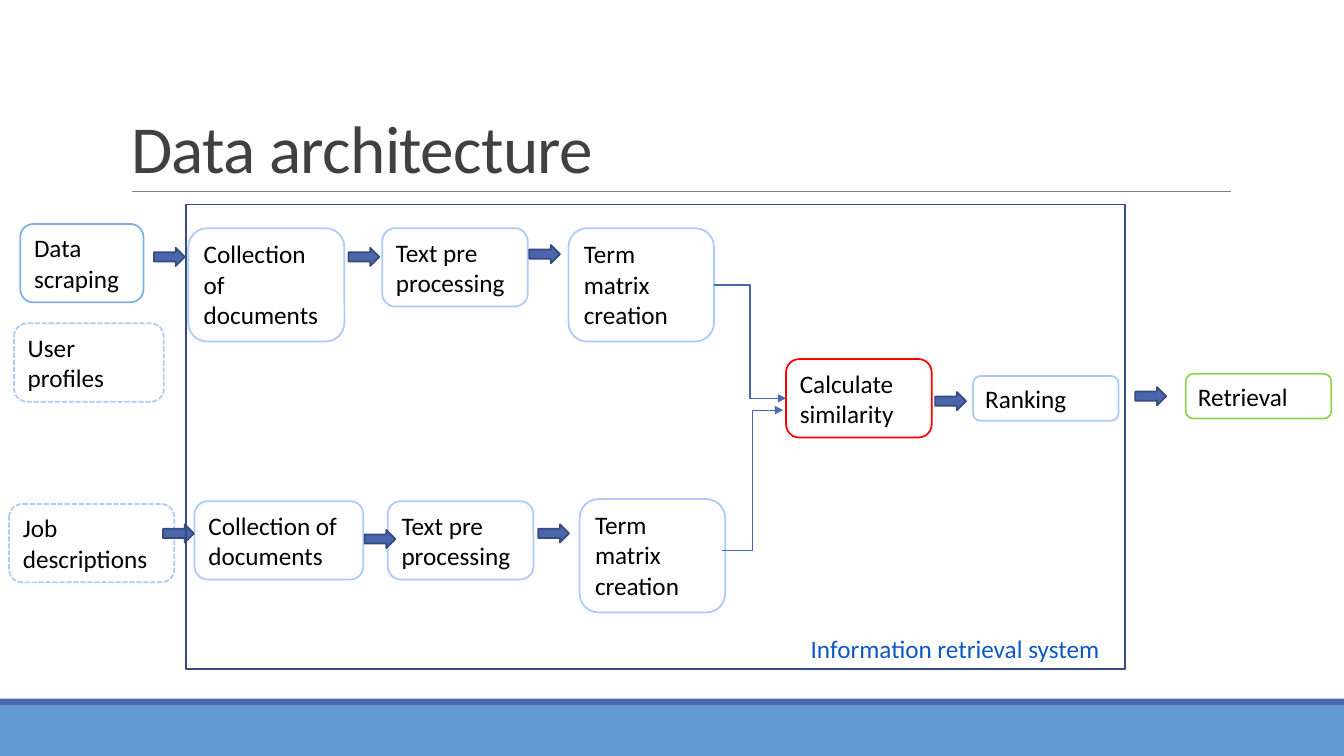
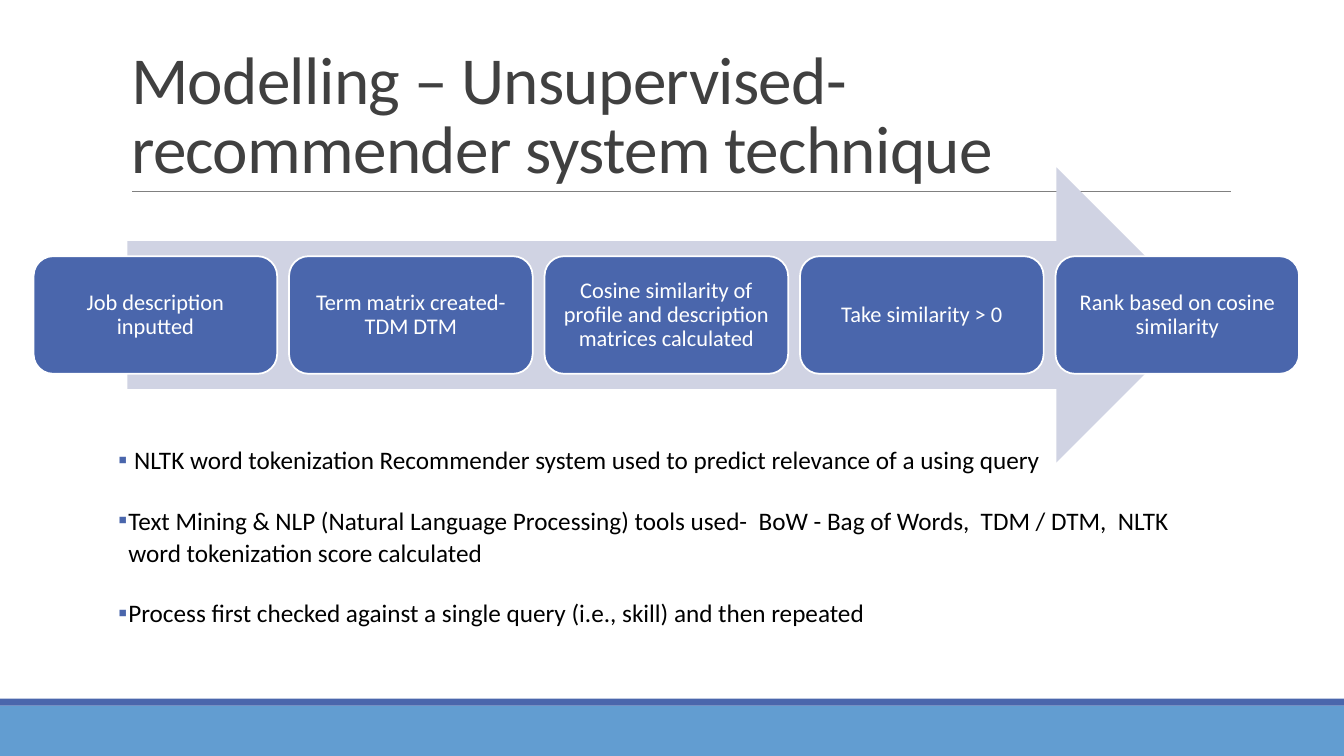
from dataclasses import dataclass

from lxml import etree
from pptx import Presentation
from pptx import util as u
from pptx.dml.color import RGBColor
from pptx.enum import dml, shapes, text
from pptx.oxml.ns import qn

Pt = u.Pt
Kind = shapes.MSO_SHAPE
Link = shapes.MSO_CONNECTOR
Side = text.PP_ALIGN
Hold = text.MSO_ANCHOR


@dataclass(frozen=True)
class Theme:
    font: str = "Calibri"
    head: int = 48
    body: int = 18
    step: int = 16
    thin: float = 0.5
    edge: float = 1.25
    ink: str = "000000"
    grey: str = "404040"
    rule: str = "808080"
    white: str = "FFFFFF"
    blue: str = "4A66AC"
    navy: str = "374B7F"
    sky: str = "629DD1"
    pale: str = "ACCBF9"
    mid: str = "7EB2E6"
    mist: str = "D0D3E3"
    label: str = "0E58C4"
    red: str = "FF0000"
    green: str = "92D050"


class Deck:
    def __init__(self, theme):
        self.t = theme
        self.prs = Presentation()
        self.prs.slide_width, self.prs.slide_height = Pt(960), Pt(540)
        self.slide = None

    def page(self, title):
        t = self.t
        self.slide = self.prs.slides.add_slide(self.prs.slide_layouts[5])
        self.shape(Kind.RECTANGLE, 0, 504, 960, 36, t.sky)
        self.shape(Kind.RECTANGLE, 0, 499, 960, 5, t.blue)
        self.line((94.5, 137), (879, 137), t.rule, t.thin)
        head = self.slide.shapes.title
        head.left, head.top, head.width, head.height = map(Pt, (86.5, 22.5, 792, 114.5))
        frame = self.frame(head, Hold.BOTTOM)
        run = self.words(frame.paragraphs[0], title, t.head, t.grey, space=0.85)
        run._r.get_or_add_rPr().set("spc", "-50")

    def frame(self, item, hold=Hold.TOP, pad=None):
        frame = item.text_frame
        frame.word_wrap = True
        frame.auto_size = text.MSO_AUTO_SIZE.NONE
        frame.vertical_anchor = hold
        if pad:
            (frame.margin_left, frame.margin_top,
             frame.margin_right, frame.margin_bottom) = map(Pt, pad)
        return frame

    def words(self, para, words, size, color, side=Side.LEFT, space=1.0):
        para.alignment = side
        para.line_spacing = space
        run = para.add_run()
        run.text = words
        run.font.name = self.t.font
        run.font.size = Pt(size)
        run.font.color.rgb = RGBColor.from_string(color)
        return run

    def shape(self, kind, x, y, w, h, fill=None, edge=None, dash=False):
        item = self.slide.shapes.add_shape(kind, Pt(x), Pt(y), Pt(w), Pt(h))
        item.shadow.inherit = False
        if fill:
            item.fill.solid()
            item.fill.fore_color.rgb = RGBColor.from_string(fill)
        else:
            item.fill.background()
        if edge:
            item.line.color.rgb = RGBColor.from_string(edge)
            item.line.width = Pt(self.t.edge)
            if dash:
                item.line.dash_style = dml.MSO_LINE.SQUARE_DOT
        else:
            item.line.fill.background()
        return item

    def box(self, words, x, y, w, h, edge, dash=False):
        t = self.t
        item = self.shape(Kind.ROUNDED_RECTANGLE, x, y, w, h, t.white, edge, dash)
        self.words(self.frame(item).paragraphs[0], words, t.body, t.ink)
        return item

    def step(self, words, x, y, w, h):
        t = self.t
        item = self.shape(Kind.ROUNDED_RECTANGLE, x, y, w, h, t.blue, t.white)
        frame = self.frame(item, Hold.MIDDLE, (5, 5, 5, 5))
        self.words(frame.paragraphs[0], words, t.step, t.white, Side.CENTER, 0.9)

    def arrow(self, x, y):
        self.shape(Kind.RIGHT_ARROW, x, y, 22, 13, self.t.blue, self.t.navy)

    def line(self, start, end, color, width, kind=Link.STRAIGHT, tip=False):
        item = self.slide.shapes.add_connector(kind, *map(Pt, (*start, *end)))
        item.line.color.rgb = RGBColor.from_string(color)
        item.line.width = Pt(width)
        if tip:
            etree.SubElement(item.line._get_or_add_ln(), qn("a:tailEnd"), type="triangle")
        etree.SubElement(item._element.spPr, qn("a:effectLst"))
        return item

    def area(self, x, y, w, h, pad=None):
        item = self.slide.shapes.add_textbox(Pt(x), Pt(y), Pt(w), Pt(h))
        return self.frame(item, pad=pad)

    def label(self, words, x, y, w, h):
        para = self.area(x, y, w, h).paragraphs[0]
        self.words(para, words, self.t.body, self.t.label)

    def points(self, rows, x, y, w, h):
        t = self.t
        frame = self.area(x, y, w, h, (0, 3.6, 0, 3.6))
        for i, words in enumerate(rows):
            para = frame.add_paragraph() if i else frame.paragraphs[0]
            self.words(para, words, t.body, t.ink, space=1.07)
            para.space_before, para.space_after = Pt(12), Pt(8)
            props = para._p.get_or_add_pPr()
            props.set("marL", str(int(Pt(7.2))))
            props.set("indent", str(int(Pt(-7.2))))
            tint = etree.SubElement(props, qn("a:buClr"))
            etree.SubElement(tint, qn("a:srgbClr"), val=t.blue)
            etree.SubElement(props, qn("a:buFont"), typeface=t.font)
            etree.SubElement(props, qn("a:buChar"), char="▪")


def flow(deck):
    t = deck.t
    wide, low, mid, tall = 104, 32, 56, 81
    deck.page("Data architecture")
    deck.box("Data scraping", 14.5, 160, 88, mid, t.mid)
    deck.box("User profiles", 10, 231, 107, mid, t.pale, True)
    deck.box("Job descriptions", 6.5, 360, 118, mid, t.pale, True)
    deck.box("Collection of documents", 134.5, 163, 111.5, tall, t.pale)
    deck.box("Collection of documents", 139, 358, 120.5, mid, t.pale)
    for x, y in ((273, 163), (277, 358)):
        deck.box("Text pre processing", x, y, wide, mid, t.pale)
    term, _ = [deck.box("Term matrix creation", x, y, wide, tall, t.pale)
               for x, y in ((406, 163), (414, 356.5))]
    match = deck.box("Calculate similarity", 561.5, 256.5, wide, mid, t.red)
    deck.box("Ranking", 695, 268.5, wide, low, t.pale)
    deck.box("Retrieval", 847, 267, wide, low, t.green)
    deck.label("Information retrieval system", 572, 449, 246, 29)
    for x, y in ((110, 177), (249, 177), (378, 175), (116.5, 374.5),
                 (260.5, 378.5), (384.5, 374.5), (668, 280), (811, 276.5)):
        deck.arrow(x, y)
    deck.shape(Kind.RECTANGLE, 133, 146, 670.5, 332, edge=t.navy)
    deck.line((515.5, 393), (559.5, 293), t.blue, 0.25, Link.ELBOW, True)
    link = deck.line((510, 203.5), (561.5, 284.5), t.blue, 1, Link.ELBOW, True)
    link.begin_connect(term, 3)
    link.end_connect(match, 1)


def model(deck):
    deck.page("Modelling – Unsupervised- recommender system technique")
    deck.points((
        " NLTK word tokenization Recommender system used to predict relevance of a using query",
        "Text Mining & NLP (Natural Language Processing) tools used-  BoW - Bag of Words,"
        "  TDM / DTM,  NLTK word tokenization score calculated",
        "Process first checked against a single query (i.e., skill) and then repeated",
    ), 84.5, 312.5, 792, 180.5)
    deck.shape(Kind.RIGHT_ARROW, 91, 119.5, 769, 211, deck.t.mist)
    steps = (
        "Job description inputted",
        "Term matrix created- TDM DTM",
        "Cosine similarity of profile and description matrices calculated",
        "Take similarity > 0",
        "Rank based on cosine similarity",
    )
    for i, words in enumerate(steps):
        deck.step(words, 24 + 182.5 * i, 183, 174, 84)


def main():
    deck = Deck(Theme())
    flow(deck)
    model(deck)
    deck.prs.save("out.pptx")


if __name__ == "__main__":
    main()
